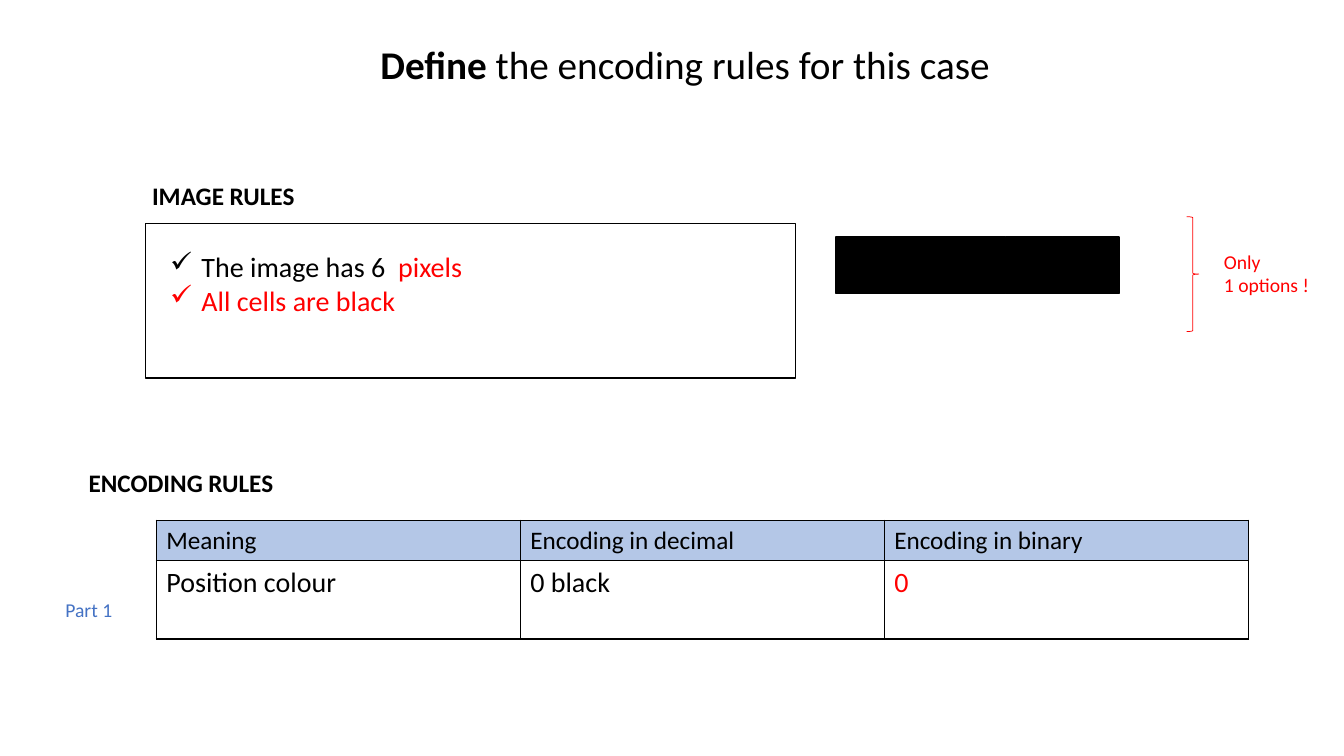
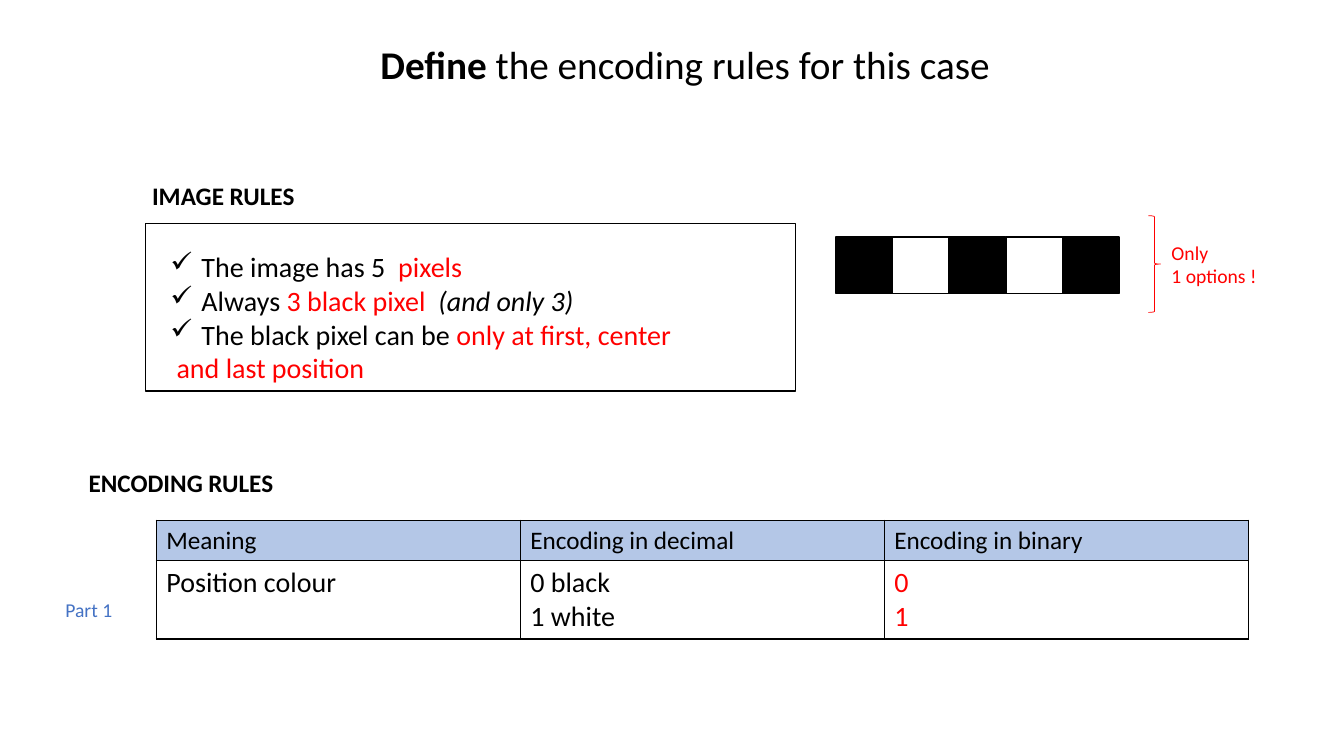
from lxml import etree
from pptx import Presentation
from pptx import util as u
from pptx.dml import color
from pptx.enum import shapes, text
from pptx.oxml import ns

FONT = "Calibri"
BLACK, WHITE, RED = "000000", "FFFFFF", "FF0000"
BLUE, HEADER_BLUE = "4472C4", "B4C7E7"


def rgb(value):
    return color.RGBColor.from_string(value)


def inches(box):
    return [u.Inches(length) for length in box]


def add_run(para, words, size, hue=BLACK, bold=False, italic=False):
    span = para.add_run()
    span.text = words
    span.font.name = FONT
    span.font.size = u.Pt(size)
    span.font.color.rgb = rgb(hue)
    span.font.bold = bold
    span.font.italic = italic


def fill_text(frame, paragraphs, size):
    for index, spans in enumerate(paragraphs):
        para = frame.add_paragraph() if index else frame.paragraphs[0]
        for words, style in spans:
            add_run(para, words, size, **style)


def add_text(page, box, paragraphs, size, wrap=False):
    frame = page.shapes.add_textbox(*inches(box)).text_frame
    frame.word_wrap = wrap
    frame.auto_size = text.MSO_AUTO_SIZE.SHAPE_TO_FIT_TEXT
    fill_text(frame, paragraphs, size)
    return frame


def add_outline(page, kind, box, line, width, fill=None):
    shape = page.shapes.add_shape(kind, *inches(box))
    shape.shadow.inherit = False
    if fill:
        shape.fill.solid()
        shape.fill.fore_color.rgb = rgb(fill)
    else:
        shape.fill.background()
    shape.line.color.rgb = rgb(line)
    shape.line.width = u.Pt(width)


def add_check(para):
    props = para._p.get_or_add_pPr()
    props.set("marL", str(u.Inches(0.31)))
    props.set("indent", str(-u.Inches(0.31)))
    etree.SubElement(props, ns.qn("a:buChar")).set("char", "✓")


def add_borders(cell):
    props = cell._tc.get_or_add_tcPr()
    for index, side in enumerate(("lnL", "lnR", "lnT", "lnB")):
        line = etree.Element(ns.qn("a:" + side), w=str(u.Pt(1)))
        fill = etree.SubElement(line, ns.qn("a:solidFill"))
        etree.SubElement(fill, ns.qn("a:srgbClr")).set("val", BLACK)
        props.insert(index, line)


def add_title(page, box):
    spans = [("Define", {"bold": True}), (" the encoding rules for this case", {})]
    frame = add_text(page, box, [spans], 28, wrap=True)
    frame.paragraphs[0].alignment = text.PP_ALIGN.CENTER


def add_heading(page, box, words):
    add_text(page, box, [[(words, {"bold": True})]], 18)


def add_image_rules(page, box, rules, rules_size):
    left, top, width, height = box
    add_heading(page, (left - 0.03, top - 0.48, 1.63, 0.4), "IMAGE RULES")
    add_outline(page, shapes.MSO_SHAPE.RECTANGLE, box, BLACK, 1)
    frame = add_text(page, (left + 0.15, top + 0.21, *rules_size),
                     [spans for spans, checked in rules], 20)
    for para, (spans, checked) in zip(frame.paragraphs, rules):
        if checked:
            add_check(para)


def add_pixels(page, box, fills):
    left, top, width, height = box
    side = width / len(fills)
    for index, fill in enumerate(fills):
        add_outline(page, shapes.MSO_SHAPE.RECTANGLE,
                    (left + index * side, top, side, height), BLACK, 1, fill)


def add_options(page, brace, note):
    add_outline(page, shapes.MSO_SHAPE.RIGHT_BRACE, brace, RED, 0.5)
    lines = [[(words, {"hue": RED})] for words in ("Only", "1 options !")]
    add_text(page, (*note, 1.05, 0.57), lines, 14)


def add_encoding_rules(page, box, decimals, binaries):
    left, top, width, height = box
    add_heading(page, (left - 0.77, top - 0.57, 2.06, 0.4), "ENCODING RULES")
    add_text(page, (left - 1, top + 0.72, 0.67, 0.34),
             [[("Part 1", {"hue": BLUE})]], 14)
    rows = [
        [[[(words, {})]] for words in
         ("Meaning", "Encoding in decimal", "Encoding in binary")],
        [[[("Position colour", {})]],
         [[(words, {})] for words in decimals],
         [[(words, {"hue": RED})] for words in binaries]],
    ]
    table = page.shapes.add_table(2, 3, *inches(box)).table
    table.first_row = table.horz_banding = False
    for column in table.columns:
        column.width = u.Inches(width / 3)
    table.rows[0].height = u.Inches(0.4)
    table.rows[1].height = u.Inches(height - 0.4)
    for row, size, fill in ((0, 18, HEADER_BLUE), (1, 20, None)):
        for column, paragraphs in enumerate(rows[row]):
            cell = table.cell(row, column)
            fill_text(cell.text_frame, paragraphs, size)
            if fill:
                cell.fill.solid()
                cell.fill.fore_color.rgb = rgb(fill)
            else:
                cell.fill.background()
            add_borders(cell)


def add_case(deck, case):
    page = deck.slides.add_slide(deck.slide_layouts[6])
    add_title(page, (3, 0.35, 7.59, 0.57))
    add_image_rules(page, (1.44, 2.22, 6.45, case["rules_height"]),
                    case["rules"], case["rules_size"])
    add_pixels(page, (8.29, 2.35, 2.81, 0.56), case["pixels"])
    add_options(page, case["brace"], case["note"])
    add_encoding_rules(page, (1.55, 5.16, 10.83, 1.18),
                       case["decimals"], case["binaries"])


RED_TEXT = {"hue": RED}
CASES = [
    {
        "rules": [
            ([("The image has 6  ", {}), ("pixels", RED_TEXT)], True),
            ([("All cells are black", RED_TEXT)], True),
        ],
        "rules_height": 1.53,
        "rules_size": (3.13, 0.77),
        "pixels": [BLACK] * 5,
        "brace": (11.77, 2.15, 0.12, 1.14),
        "note": (12.04, 2.43),
        "decimals": ["0 black"],
        "binaries": ["0"],
    },
    {
        "rules": [
            ([("The image has 5  ", {}), ("pixels", RED_TEXT)], True),
            ([("Always ", {}), ("3 black pixel  ", RED_TEXT),
              ("(and only 3)", {"italic": True})], True),
            ([("The black pixel can be ", {}),
              ("only at first, center", RED_TEXT)], True),
            ([(" and last position", RED_TEXT)], False),
        ],
        "rules_height": 1.66,
        "rules_size": (5.22, 1.45),
        "pixels": [BLACK, WHITE, BLACK, WHITE, BLACK],
        "brace": (11.39, 2.14, 0.12, 0.96),
        "note": (11.52, 2.34),
        "decimals": ["0 black", "1 white"],
        "binaries": ["0", "1"],
    },
]


def main():
    deck = Presentation()
    deck.slide_width = u.Inches(13.33)
    deck.slide_height = u.Inches(7.5)
    for case in CASES:
        add_case(deck, case)
    deck.save("out.pptx")


if __name__ == "__main__":
    main()
